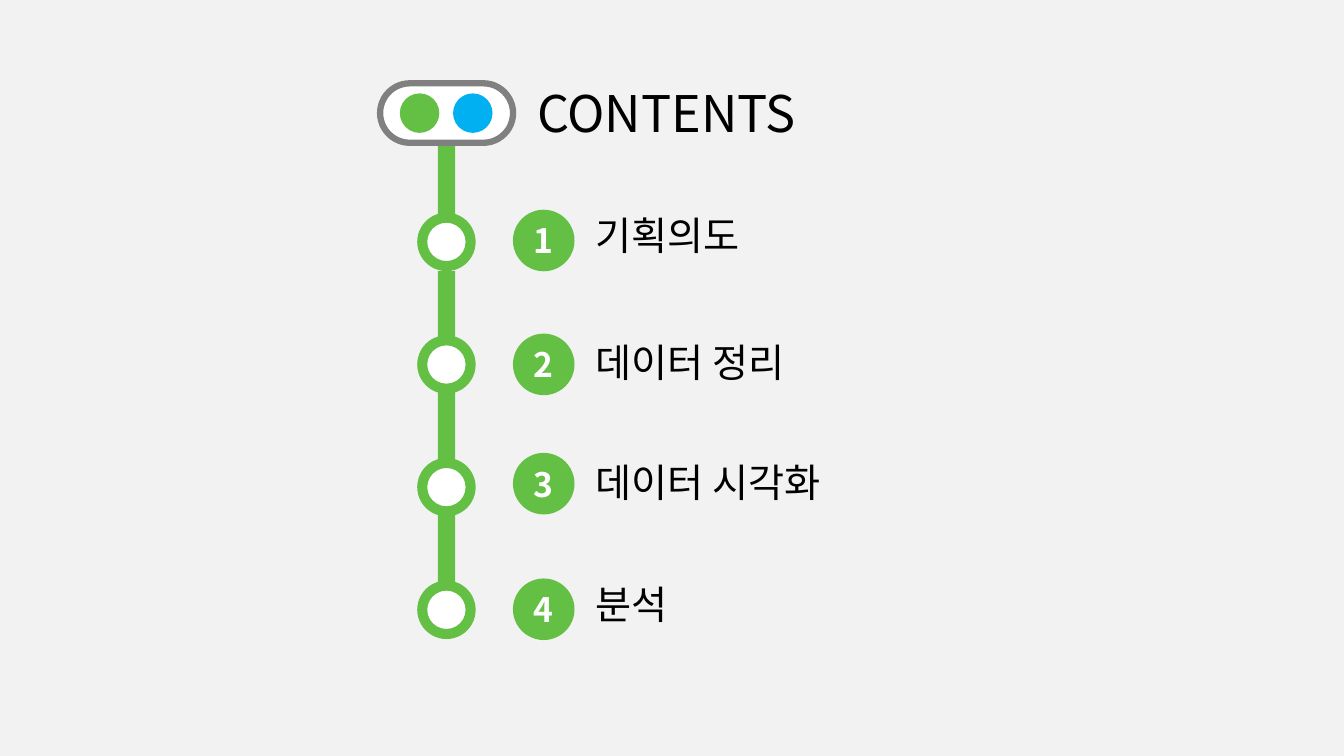
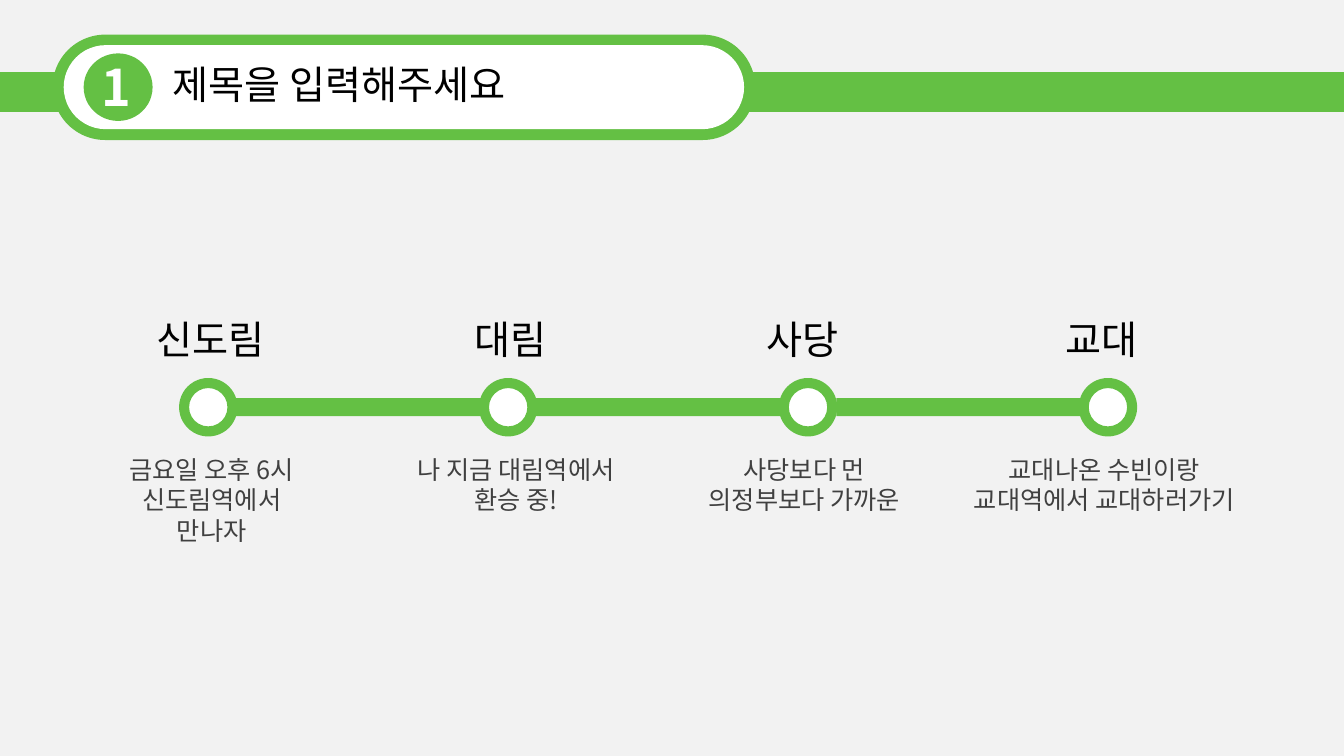
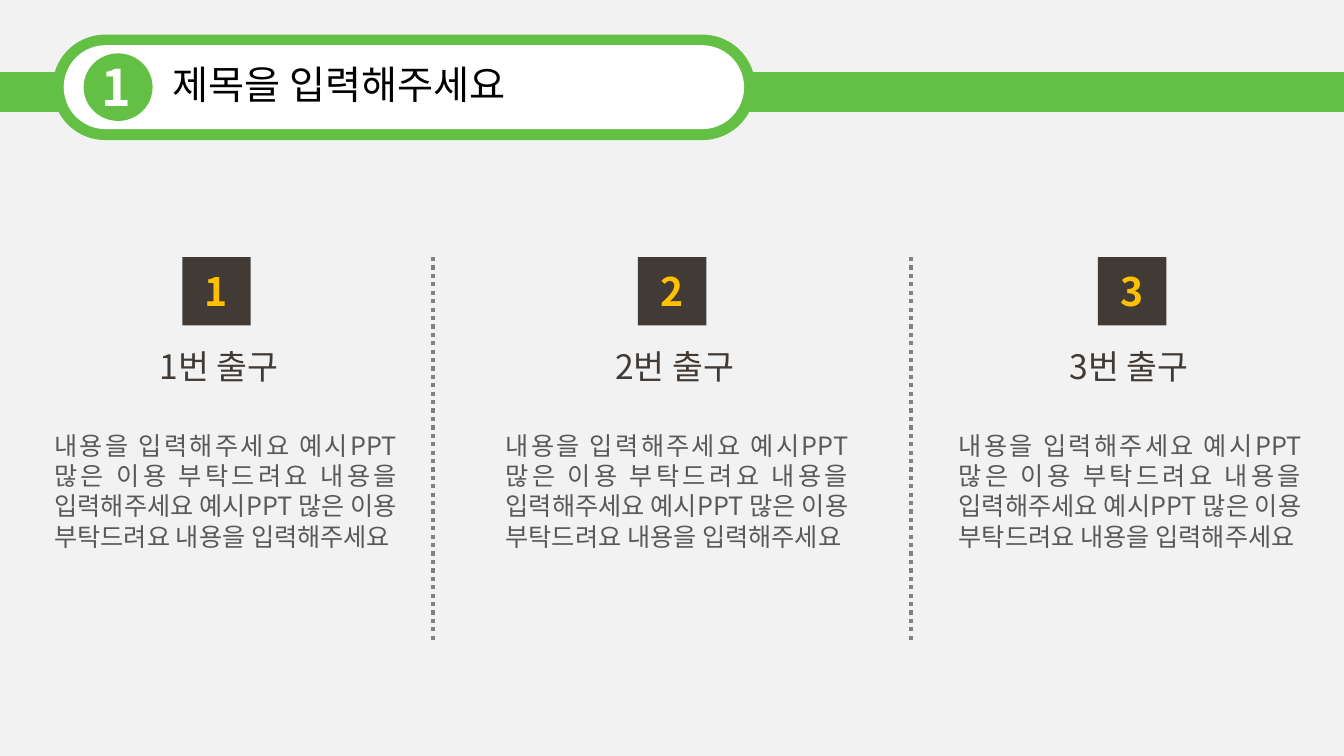
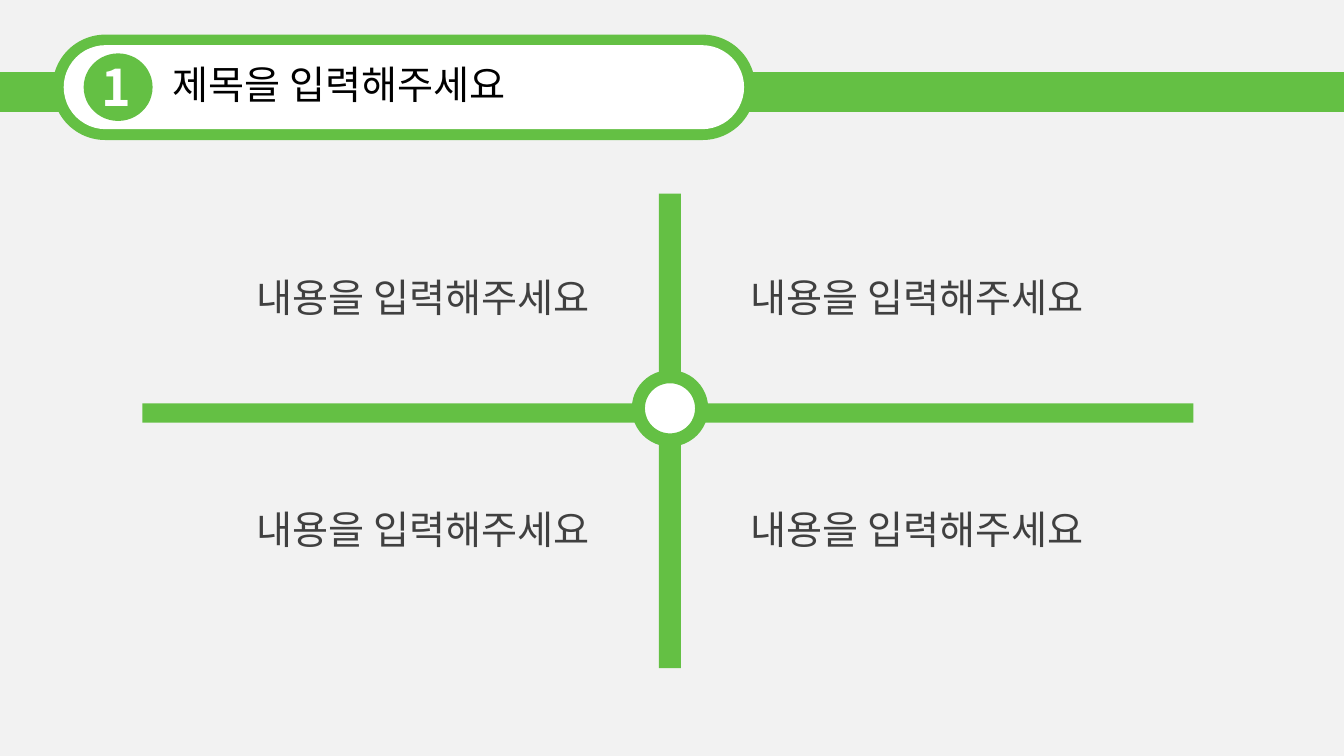
"""Build a four-slide deck styled after a green metro line."""
from lxml import etree
from pptx import Presentation
from pptx import util as u
from pptx.dml import color
from pptx.enum import dml, shapes, text
from pptx.oxml import ns

GREEN = color.RGBColor(0x64, 0xC0, 0x44)
BLUE = color.RGBColor(0x00, 0xB0, 0xF0)
WHITE = color.RGBColor(0xFF, 0xFF, 0xFF)
BLACK = color.RGBColor(0x00, 0x00, 0x00)
PAPER = color.RGBColor(0xF2, 0xF2, 0xF2)
GRAY = color.RGBColor(0x80, 0x80, 0x80)
DARK_GRAY = color.RGBColor(0x40, 0x40, 0x40)
BODY_GRAY = color.RGBColor(0x59, 0x59, 0x59)
BROWN = color.RGBColor(0x41, 0x3A, 0x35)
AMBER = color.RGBColor(0xFF, 0xC0, 0x00)

RECT = shapes.MSO_SHAPE.RECTANGLE
OVAL = shapes.MSO_SHAPE.OVAL
PILL = shapes.MSO_SHAPE.ROUNDED_RECTANGLE
DONUT = shapes.MSO_SHAPE.DONUT

LEFT = text.PP_ALIGN.LEFT
CENTER = text.PP_ALIGN.CENTER
JUSTIFY = text.PP_ALIGN.JUSTIFY


class Deck:
    """Hold the shared style and the slide being drawn."""

    FONT = "Noto Sans CJK KR"
    RING = 0.172

    def __init__(self):
        self.presentation = Presentation()
        self.presentation.slide_width = u.Pt(960)
        self.presentation.slide_height = u.Pt(540)
        fill = self.presentation.slide_master.background.fill
        fill.solid()
        fill.fore_color.rgb = PAPER
        self.slide = None

    def new_slide(self):
        self.slide = self.presentation.slides.add_slide(self.presentation.slide_layouts[6])

    def shape(self, kind, left, top, width, height, fill=GREEN, adjust=None):
        shape = self.slide.shapes.add_shape(
            kind, u.Pt(left), u.Pt(top), u.Pt(width), u.Pt(height))
        shape.shadow.inherit = False
        shape.fill.solid()
        shape.fill.fore_color.rgb = fill
        shape.line.fill.background()
        if adjust is not None:
            shape.adjustments[0] = adjust
        return shape

    def add_lines(self, frame, lines, size, ink, bold=False, align=LEFT):
        for index, line in enumerate(lines):
            paragraph = frame.paragraphs[0] if index == 0 else frame.add_paragraph()
            paragraph.alignment = align
            run = paragraph.add_run()
            run.text = line
            run.font.size = u.Pt(size)
            run.font.bold = bold
            run.font.color.rgb = ink
            run.font.name = self.FONT
            east_asian = etree.SubElement(run.font._element, ns.qn("a:ea"))
            east_asian.set("typeface", self.FONT)

    def label(self, left, top, width, height, lines, size=28, ink=BLACK,
              bold=False, align=LEFT):
        box = self.slide.shapes.add_textbox(
            u.Pt(left), u.Pt(top), u.Pt(width), u.Pt(height))
        box.text_frame.word_wrap = True
        box.text_frame.auto_size = text.MSO_AUTO_SIZE.SHAPE_TO_FIT_TEXT
        self.add_lines(box.text_frame, lines, size, ink, bold, align)

    def badge(self, kind, left, top, side, number, size, fill, ink):
        shape = self.shape(kind, left, top, side, side, fill)
        shape.text_frame.vertical_anchor = text.MSO_ANCHOR.MIDDLE
        self.add_lines(shape.text_frame, [str(number)], size, ink, True, CENTER)

    def station(self, left, top, side=41.76):
        inset = side * 0.05
        self.shape(OVAL, left + inset, top + inset, side - 2 * inset, side - 2 * inset, WHITE)
        self.shape(DONUT, left, top, side, side, adjust=self.RING)

    def dotted_line(self, x, top, bottom):
        line = self.slide.shapes.add_connector(
            shapes.MSO_CONNECTOR.STRAIGHT, u.Pt(x), u.Pt(top), u.Pt(x), u.Pt(bottom))
        line.line.color.rgb = GRAY
        line.line.width = u.Pt(3)
        line.line.dash_style = dml.MSO_LINE.ROUND_DOT
        etree.SubElement(line._element.spPr, ns.qn("a:effectLst"))

    def header(self, number, title):
        self.shape(RECT, 0, 51.5, 960, 28.5)
        self.shape(PILL, 37.5, 24.75, 502, 75.25, adjust=0.5)
        self.shape(PILL, 45.5, 32.25, 486, 60, WHITE, 0.5)
        self.shape(OVAL, 59.75, 38.15, 49.25, 48.25)
        self.label(116, 39.5, 341, 41, [title])
        self.label(65.5, 36.5, 39, 51, [str(number)], 36, WHITE, True)

    def contents_slide(self):
        self.new_slide()
        for top, height in [(102.2, 67.8), (193.7, 70), (260.6, 74), (352, 71.4)]:
            self.shape(RECT, 312.9, top, 12.3, height)
        entries = [("기획의도", 149.8, 147.5), ("데이터 정리", 238.3, 238),
                   ("데이터 시각화", 323.5, 323.8), ("분석", 413.2, 411.2)]
        for index, (name, badge_top, label_top) in enumerate(entries):
            self.station(298, 151.9 + 87.6 * index)
            self.badge(OVAL, 366.4, badge_top, 44, index + 1, 24, GREEN, WHITE)
            self.label(418.2, label_top, 200, 41, [name])
        signal = self.shape(PILL, 271.5, 59.5, 95, 42.5, WHITE, 0.5)
        signal.line.color.rgb = GRAY
        signal.line.width = u.Pt(4.5)
        for left, light in [(285.6, GREEN), (323.6, BLUE)]:
            self.shape(OVAL, left, 66.7, 28.2, 28.2, light)
        self.label(376.5, 55.2, 287, 51, ["CONTENTS"], 36, align=JUSTIFY)

    def route_slide(self, title):
        self.new_slide()
        for left in [155.5, 368.8, 597.4]:
            self.shape(RECT, left, 284.3, 191.5, 13)
        stops = [
            ("신도림", 104.4, 93.6, 71.3, 160, ["금요일 오후 6시 신도림역에서 만나자"]),
            ("대림", 332, 75.6, 288.7, 160, ["나 지금 대림역에서", "환승 중!"]),
            ("사당", 540.7, 75.6, 494.6, 160, ["사당보다 먼", "의정부보다 가까운"]),
            ("교대", 753.8, 75.6, 683.3, 211, ["교대나온 수빈이랑", "교대역에서 교대하러가기"]),
        ]
        for index, (name, name_left, name_width, note_left, note_width, note) in enumerate(stops):
            self.station(127.9 + 214.2 * index, 270)
            self.label(name_left, 221.8, name_width, 41, [name])
            self.label(note_left, 321.1, note_width, 51, note, 18, DARK_GRAY, align=CENTER)
        self.header(1, title)

    def exits_slide(self, title):
        self.new_slide()
        self.header(1, title)
        body = " ".join(["내용을 입력해주세요 예시PPT 많은 이용 부탁드려요"] * 2
                        + ["내용을 입력해주세요"])
        columns = [(130.2, 106.8, 31.7), (455.6, 432.4, 354), (784.2, 756.8, 677.7)]
        for number, (badge_left, name_left, body_left) in enumerate(columns, 1):
            self.badge(RECT, badge_left, 183.6, 48.9, number, 28, BROWN, AMBER)
            self.label(name_left, 243.6, 142.5, 36, [f"{number}번 출구"], 24, BROWN)
            self.label(body_left, 303.8, 259, 94.5, [body], 18, BODY_GRAY, align=JUSTIFY)
        for x in [309.3, 650.5]:
            self.dotted_line(x, 183.6, 459)

    def quadrant_slide(self, title):
        self.new_slide()
        self.header(1, title)
        self.shape(RECT, 470.6, 138.3, 15.8, 339)
        self.shape(RECT, 101.8, 288.2, 750.6, 13.7)
        self.station(451.3, 264.4, 54.6)
        for top in [191.5, 357.4]:
            for left in [168.4, 521.3]:
                self.label(left, top, 268, 41, ["내용을 입력해주세요"],
                           ink=DARK_GRAY, align=CENTER)


TITLE = "제목을 입력해주세요"
deck = Deck()
deck.contents_slide()
deck.route_slide(TITLE)
deck.exits_slide(TITLE)
deck.quadrant_slide(TITLE)
deck.presentation.save("out.pptx")
